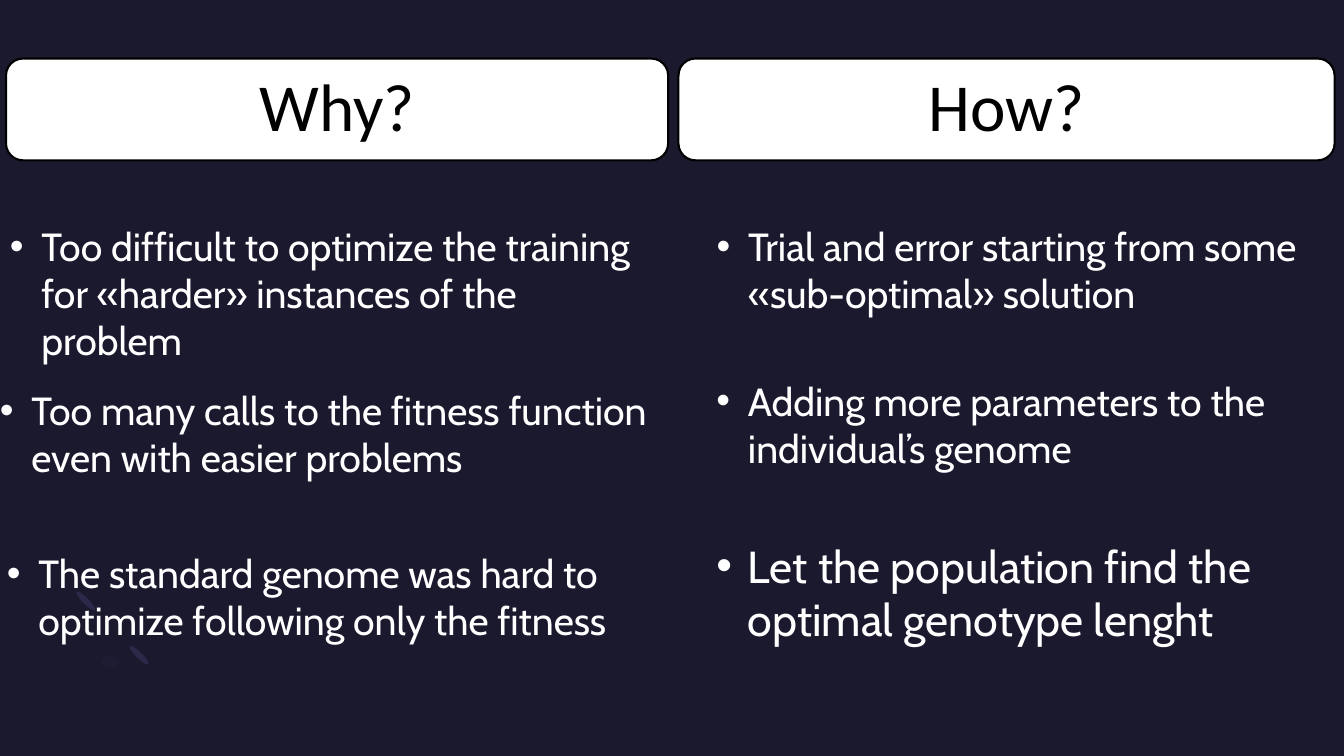
from dataclasses import dataclass

from lxml.etree import SubElement
from pptx import Presentation
from pptx.dml.color import RGBColor
from pptx.enum.shapes import MSO_SHAPE
from pptx.enum.text import MSO_ANCHOR, MSO_AUTO_SIZE, PP_ALIGN
from pptx.oxml.ns import qn
from pptx.slide import Slide
from pptx.text.text import _Paragraph
from pptx.util import Pt


@dataclass(frozen=True)
class Theme:
    background: RGBColor = RGBColor(0x1B, 0x19, 0x2E)
    light: RGBColor = RGBColor(0xFF, 0xFF, 0xFF)
    dark: RGBColor = RGBColor(0, 0, 0)
    accent: RGBColor = RGBColor(0x2C, 0x28, 0x4A)
    smudge: RGBColor = RGBColor(0x1E, 0x1C, 0x33)
    heading_font: str = "Calibri"
    body_font: str = "Cabin"
    heading_size: float = 48
    body_size: float = 28
    closing_size: float = 32


THEME = Theme()
BULLET_INDENT = 22.5


@dataclass(frozen=True)
class Heading:
    text: str
    left: float
    width: float
    top: float = 41.8
    height: float = 72.7


@dataclass(frozen=True)
class Point:
    text: str
    left: float
    top: float
    width: float
    size: float = THEME.body_size
    height: float = 75


@dataclass(frozen=True)
class Speck:
    center_x: float
    center_y: float
    width: float
    height: float
    color: RGBColor
    rotation: float = 0


SPECKS = [
    Speck(99.4, 468, 4.3, 18.7, THEME.accent, 135),
    Speck(61.2, 429.2, 4.3, 18.7, THEME.accent, 135),
    Speck(78.5, 473, 13, 9, THEME.smudge),
]

HEADINGS = [Heading("Why?", 4.3, 473), Heading("How?", 484.6, 468.7)]

REASONS = [
    Point("Too difficult to optimize the training for «harder» instances "
          "of the problem", 0, 155.5, 480),
    Point("Too many calls to the fitness function even with easier problems",
          -7.2, 272.2, 480),
    Point("The standard genome was hard to optimize following only the fitness",
          -2.2, 388.8, 480),
]

METHODS = [
    Point("Trial and error starting from some «sub-optimal» solution",
          504.7, 155.5, 437.8),
    Point("Adding more parameters to the individual’s genome",
          504.7, 265.7, 453.6),
    Point("Let the population find the optimal genotype lenght",
          504.7, 380.9, 453.6, THEME.closing_size, 85),
]


def style(paragraph: _Paragraph, font: str, size: float, color: RGBColor) -> None:
    paragraph.font.name = font
    paragraph.font.size = Pt(size)
    paragraph.font.color.rgb = color


def add_bullet(paragraph: _Paragraph) -> None:
    properties = paragraph._p.get_or_add_pPr()
    properties.set("marL", str(Pt(BULLET_INDENT)))
    properties.set("indent", str(-Pt(BULLET_INDENT)))
    bullet_font = SubElement(properties, qn("a:buFont"))
    bullet_font.set("typeface", "Arial")
    SubElement(properties, qn("a:buChar")).set("char", "•")


def draw_speck(slide: Slide, speck: Speck) -> None:
    ellipse = slide.shapes.add_shape(
        MSO_SHAPE.OVAL, Pt(speck.center_x - speck.width / 2),
        Pt(speck.center_y - speck.height / 2), Pt(speck.width), Pt(speck.height))
    ellipse.rotation = speck.rotation
    ellipse.shadow.inherit = False
    ellipse.fill.solid()
    ellipse.fill.fore_color.rgb = speck.color
    ellipse.line.fill.background()


def draw_heading(slide: Slide, heading: Heading) -> None:
    panel = slide.shapes.add_shape(
        MSO_SHAPE.ROUNDED_RECTANGLE, Pt(heading.left), Pt(heading.top),
        Pt(heading.width), Pt(heading.height))
    panel.shadow.inherit = False
    panel.fill.solid()
    panel.fill.fore_color.rgb = THEME.light
    panel.line.color.rgb = THEME.dark
    panel.line.width = Pt(1.5)
    frame = panel.text_frame
    frame.vertical_anchor = MSO_ANCHOR.MIDDLE
    title = frame.paragraphs[0]
    title.text = heading.text
    title.alignment = PP_ALIGN.CENTER
    title.line_spacing = 0.9
    style(title, THEME.heading_font, THEME.heading_size, THEME.dark)


def draw_point(slide: Slide, point: Point) -> None:
    box = slide.shapes.add_textbox(
        Pt(point.left), Pt(point.top), Pt(point.width), Pt(point.height))
    frame = box.text_frame
    frame.word_wrap = True
    frame.auto_size = MSO_AUTO_SIZE.SHAPE_TO_FIT_TEXT
    statement = frame.paragraphs[0]
    statement.text = point.text
    add_bullet(statement)
    style(statement, THEME.body_font, point.size, THEME.light)


# Slide
presentation = Presentation()
presentation.slide_width, presentation.slide_height = Pt(960), Pt(540)
why_how = presentation.slides.add_slide(presentation.slide_layouts[6])
why_how.background.fill.solid()
why_how.background.fill.fore_color.rgb = THEME.background

# Background decoration
for speck in SPECKS:
    draw_speck(why_how, speck)

# Headings of both columns
for heading in HEADINGS:
    draw_heading(why_how, heading)

# Bulleted statements
for point in REASONS + METHODS:
    draw_point(why_how, point)

presentation.save("out.pptx")
